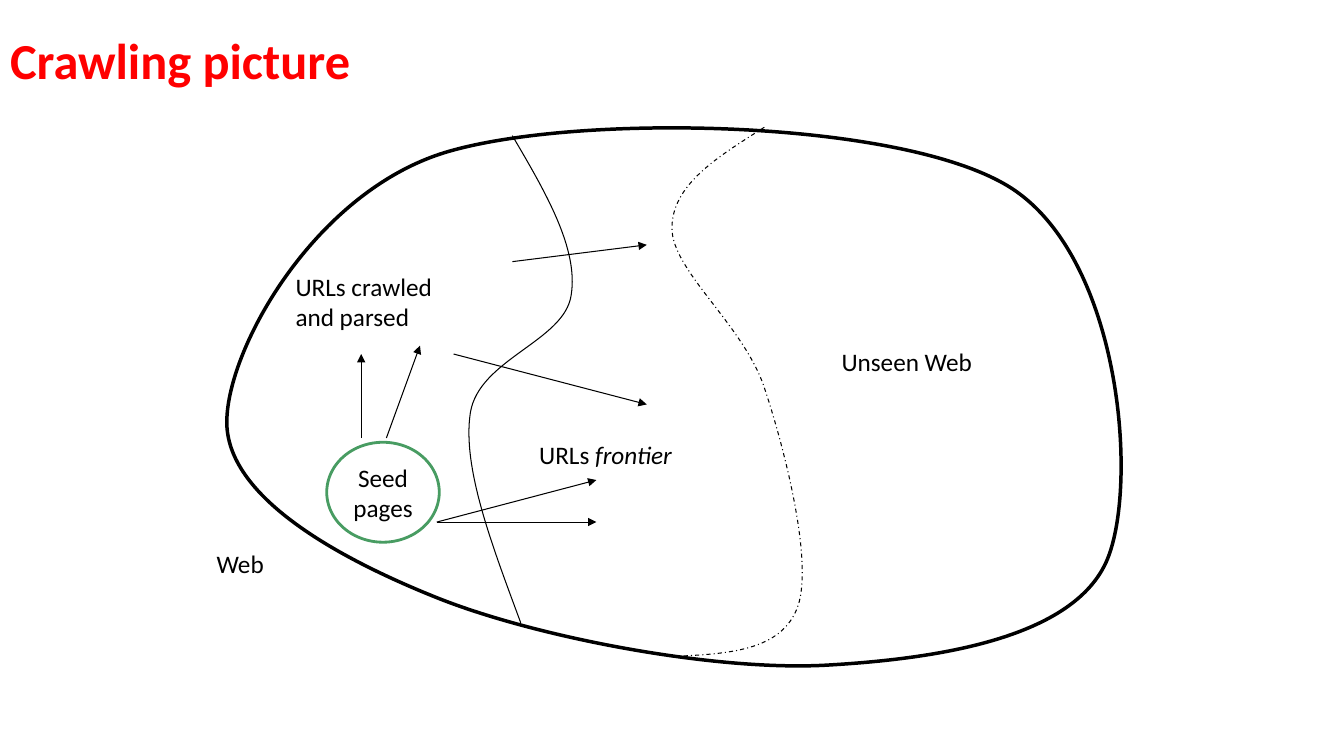
import pptx
import pptx.util
import pptx.oxml.ns
import pptx.dml.color
import pptx.enum.dml
import pptx.enum.shapes
import pptx.enum.text
import lxml.etree

COLORS = {"title": "FF0000", "ink": "000000", "seed": "489C62"}
FONT = "Calibri"
COLS, ROWS = 160, 90  # cells of 1/12 inch
CELL = pptx.util.Inches(1 / 12)
TOP = pptx.util.Inches(0.0125)  # offset of the first row

# Curves: a start point, then two control points and an end point per segment
WEB = [(52, 71),
       (40, 66.2), (26.9, 58.9), (27, 50),
       (27.1, 41.1), (37.6, 22.7), (53, 18),
       (68.5, 13.3), (106.8, 14), (120, 22),
       (133.2, 30), (135.5, 56.5), (132, 66),
       (128.5, 75.6), (112.3, 78.2), (99, 79),
       (85.7, 79.9), (64, 75.8), (52, 71)]
CRAWLED_EDGE = [(61, 16),
                (65, 22.8), (68.9, 29.5), (68, 35),
                (67.2, 40.5), (57, 42.6), (56, 49),
                (55, 55.5), (58.6, 64.8), (62, 74)]
FRONTIER_EDGE = [(91, 15),
                 (85.5, 18.5), (80, 21.8), (80, 27),
                 (80, 32.1), (88.5, 38.5), (91, 46),
                 (93.5, 53.5), (96.8, 66.7), (95, 72),
                 (93.1, 77.4), (86.6, 77.7), (80, 78)]

# Arrows: start and end
ARROWS = [((52, 62), (71, 57)), ((52, 62), (71, 62)),
          ((54, 42), (77, 48)), ((61, 31), (77, 29)),
          ((43, 52), (43, 42)), ((46, 52), (50, 41))]

# Labels: left, top, width, height, lines of (text, italic) runs
LABELS = [(24.6, 64.5, 8.2, 4.8, [[("Web", False)]]),
          (34, 31.5, 18.8, 8.5, [[("URLs crawled", False)], [("and parsed", False)]]),
          (63, 51.6, 18.4, 4.8, [[("URLs ", False), ("frontier", True)]]),
          (99, 40.5, 18.1, 4.8, [[("Unseen Web", False)]])]


def point(col, row):
    return round(col * CELL), round(TOP + row * CELL)


def box(col, row, width, height):
    return (*point(col, row), round(width * CELL), round(height * CELL))


def rgb(name):
    return pptx.dml.color.RGBColor.from_string(COLORS[name])


def style_line(line, color, width, dash=None):
    line.color.rgb = rgb(color)
    line.width = pptx.util.Pt(width)
    if dash:
        line.dash_style = dash


def add_run(p, text, size, color="ink", bold=False, italic=False):
    r = p.add_run()
    r.text = text
    r.font.name, r.font.size = FONT, pptx.util.Pt(size)
    r.font.bold, r.font.italic = bold, italic
    r.font.color.rgb = rgb(color)


def fill_text(sp, lines, align):
    tf = sp.text_frame
    tf.word_wrap = False
    tf.auto_size = pptx.enum.text.MSO_AUTO_SIZE.SHAPE_TO_FIT_TEXT
    for i, runs in enumerate(lines):
        p = tf.add_paragraph() if i else tf.paragraphs[0]
        p.alignment = align
        for text, italic in runs:
            add_run(p, text, 18, italic=italic)


def add_title(slide, text):
    sp = slide.shapes.title
    sp.left, sp.top, sp.width, sp.height = 0, 0, COLS * CELL, 15 * CELL
    tf = sp.text_frame
    tf.auto_size = pptx.enum.text.MSO_AUTO_SIZE.NONE
    tf.vertical_anchor = pptx.enum.text.MSO_ANCHOR.MIDDLE
    p = tf.paragraphs[0]
    p.alignment = pptx.enum.text.PP_ALIGN.LEFT
    p.line_spacing = 0.9
    add_run(p, text, 36, "title", bold=True)


def add_curve(slide, nodes, width, close=False, dash=None):
    start, *rest = [point(*node) for node in nodes]
    builder = slide.shapes.build_freeform(*start)
    builder.add_line_segments(rest, close=close)
    sp = builder.convert_to_shape()
    # Join every three straight segments into one cubic Bezier segment
    qn = pptx.oxml.ns.qn
    segments = list(sp.element.iter(qn("a:lnTo")))
    for i in range(0, len(segments), 3):
        bezier = lxml.etree.Element(qn("a:cubicBezTo"))
        segments[i].addprevious(bezier)
        for segment in segments[i:i + 3]:
            bezier.append(segment[0])
            segment.getparent().remove(segment)
    sp.shadow.inherit = False
    sp.fill.background()
    style_line(sp.line, "ink", width, dash)


def add_label(slide, col, row, width, height, lines):
    sp = slide.shapes.add_textbox(*box(col, row, width, height))
    fill_text(sp, lines, pptx.enum.text.PP_ALIGN.LEFT)


def add_arrow(slide, start, end):
    qn = pptx.oxml.ns.qn
    sp = slide.shapes.add_connector(
        pptx.enum.shapes.MSO_CONNECTOR.STRAIGHT, *point(*start), *point(*end))
    style_line(sp.line, "ink", 0.75)
    sppr = sp.element.spPr
    lxml.etree.SubElement(sppr.find(qn("a:ln")), qn("a:tailEnd"), type="triangle")
    lxml.etree.SubElement(sppr, qn("a:effectLst"))


def add_seed(slide):
    sp = slide.shapes.add_shape(
        pptx.enum.shapes.MSO_SHAPE.OVAL, *box(38.9, 52.5, 13.4, 11.9))
    sp.shadow.inherit = False
    sp.fill.background()
    style_line(sp.line, "seed", 2)
    sp.text_frame.vertical_anchor = pptx.enum.text.MSO_ANCHOR.MIDDLE
    fill_text(sp, [[("Seed", False)], [("pages", False)]],
              pptx.enum.text.PP_ALIGN.CENTER)


def main():
    prs = pptx.Presentation()
    prs.slide_width, prs.slide_height = COLS * CELL, ROWS * CELL
    slide = prs.slides.add_slide(prs.slide_layouts[5])
    add_title(slide, "Crawling picture")

    # Regions of the web
    add_curve(slide, WEB, 2.5, close=True)
    add_curve(slide, CRAWLED_EDGE, 0.75)
    add_curve(slide, FRONTIER_EDGE, 0.75,
              dash=pptx.enum.dml.MSO_LINE.DASH_DOT)

    # Labels, seed pages and crawl steps
    for label in LABELS:
        add_label(slide, *label)
    add_seed(slide)
    for start, end in ARROWS:
        add_arrow(slide, start, end)

    prs.save("out.pptx")


if __name__ == "__main__":
    main()
